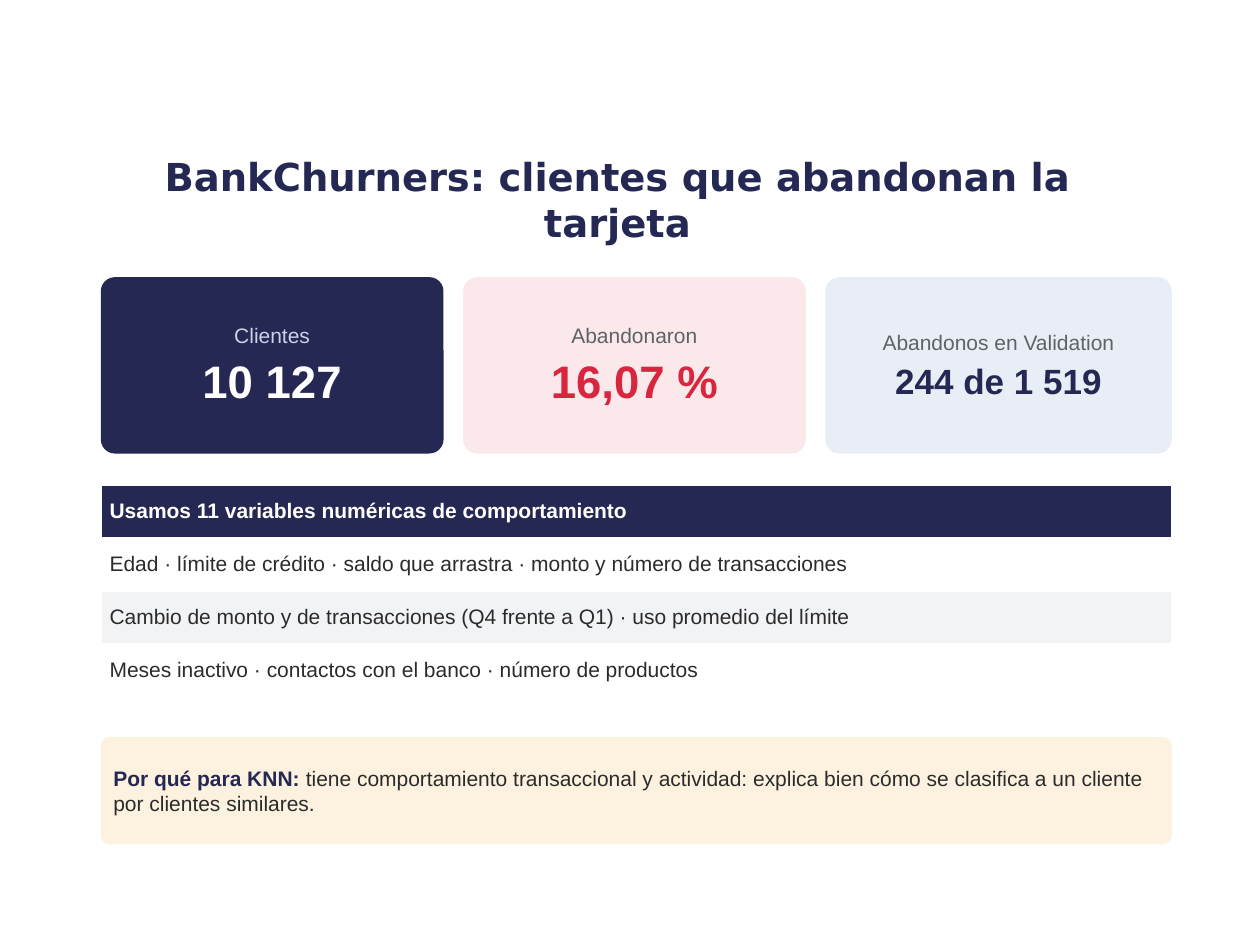
"""Build the slide that presents the BankChurners data set."""
from pptx import Presentation
from pptx.dml.color import RGBColor
from pptx.enum.shapes import MSO_SHAPE
from pptx.enum.text import MSO_ANCHOR, PP_ALIGN
from pptx.util import Inches, Pt

NAVY, INK, GREY, WHITE = "242852", "2B2B2B", "5F6368", "FFFFFF"
TITLE = "BankChurners: clientes que abandonan la tarjeta"
CARDS = [
    ("Clientes", "10 127", 26, 2.72, NAVY, "C9D2E8", WHITE),
    ("Abandonaron", "16,07 %", 26, 2.72, "FBE8EA", GREY, "D7263D"),
    ("Abandonos en Validation", "244 de 1 519", 20, 2.75, "E8EDF6", GREY, NAVY),
]
ROWS = [
    ("Usamos 11 variables numéricas de comportamiento", NAVY, WHITE),
    ("Edad · límite de crédito · saldo que arrastra · monto y número de transacciones", WHITE, INK),
    ("Cambio de monto y de transacciones (Q4 frente a Q1) · uso promedio del límite", "F2F3F5", INK),
    ("Meses inactivo · contactos con el banco · número de productos", WHITE, INK),
]
NOTE = [
    ("Por qué para KNN: ", NAVY, True),
    ("tiene comportamiento transaccional y actividad: explica bien cómo se clasifica "
     "a un cliente por clientes similares.", INK, False),
]
LEFT, WIDTH, ROW_H = 0.8, 8.5, 0.42


def rgb(value):
    return RGBColor.from_string(value)


def style(font, size, color, bold=False, name="Arial"):
    font.name, font.size, font.bold = name, Pt(size), bold
    font.color.rgb = rgb(color)


def add_panel(slide, x, y, w, h, fill):
    sp = slide.shapes.add_shape(
        MSO_SHAPE.ROUNDED_RECTANGLE, Inches(x), Inches(y), Inches(w), Inches(h))
    sp.adjustments[0] = 0.08
    sp.shadow.inherit = False
    sp.fill.solid()
    sp.fill.fore_color.rgb = rgb(fill)
    sp.line.fill.background()
    tf = sp.text_frame
    tf.word_wrap = True
    tf.vertical_anchor = MSO_ANCHOR.MIDDLE
    tf.margin_left = tf.margin_right = tf.margin_top = tf.margin_bottom = Inches(0.08)
    return tf


def add_title(slide):
    tf = slide.shapes.add_textbox(
        Inches(0.75), Inches(1.18), Inches(8.3), Inches(0.8)).text_frame
    tf.word_wrap = True
    tf.vertical_anchor = MSO_ANCHOR.MIDDLE
    p = tf.paragraphs[0]
    p.text = TITLE
    p.alignment = PP_ALIGN.CENTER
    style(p.font, 22, NAVY, True, "DejaVu Sans")


def add_cards(slide):
    gap = (WIDTH - sum(card[3] for card in CARDS)) / (len(CARDS) - 1)
    x = LEFT
    for label, value, size, w, fill, label_color, value_color in CARDS:
        tf = add_panel(slide, x, 2.2, w, 1.4, fill)
        tf.text = f"{label}\n{value}"
        for p in tf.paragraphs:
            p.alignment = PP_ALIGN.CENTER
            p.space_after = Pt(3)
        style(tf.paragraphs[0].font, 12, label_color)
        style(tf.paragraphs[1].font, size, value_color, True)
        x += w + gap


def add_variables(slide):
    table = slide.shapes.add_table(
        len(ROWS), 1, Inches(LEFT), Inches(3.85),
        Inches(WIDTH), Inches(ROW_H * len(ROWS))).table
    for i, (text, fill, color) in enumerate(ROWS):
        cell = table.cell(i, 0)
        cell.fill.solid()
        cell.fill.fore_color.rgb = rgb(fill)
        cell.vertical_anchor = MSO_ANCHOR.MIDDLE
        cell.margin_left = cell.margin_right = Inches(0.07)
        cell.margin_top = cell.margin_bottom = Inches(0.03)
        cell.text = text
        style(cell.text_frame.paragraphs[0].font, 12, color, i == 0)


def add_note(slide):
    p = add_panel(slide, LEFT, 5.85, WIDTH, 0.85, "FDF2E0").paragraphs[0]
    p.alignment = PP_ALIGN.LEFT
    p.space_after = Pt(3)
    for text, color, bold in NOTE:
        r = p.add_run()
        r.text = text
        style(r.font, 12, color, bold)


def main():
    prs = Presentation()
    prs.slide_width, prs.slide_height = Inches(10), Inches(7.5)
    s = prs.slides.add_slide(prs.slide_layouts[6])
    add_title(s)
    add_cards(s)
    add_variables(s)
    add_note(s)
    prs.save("out.pptx")


if __name__ == "__main__":
    main()
